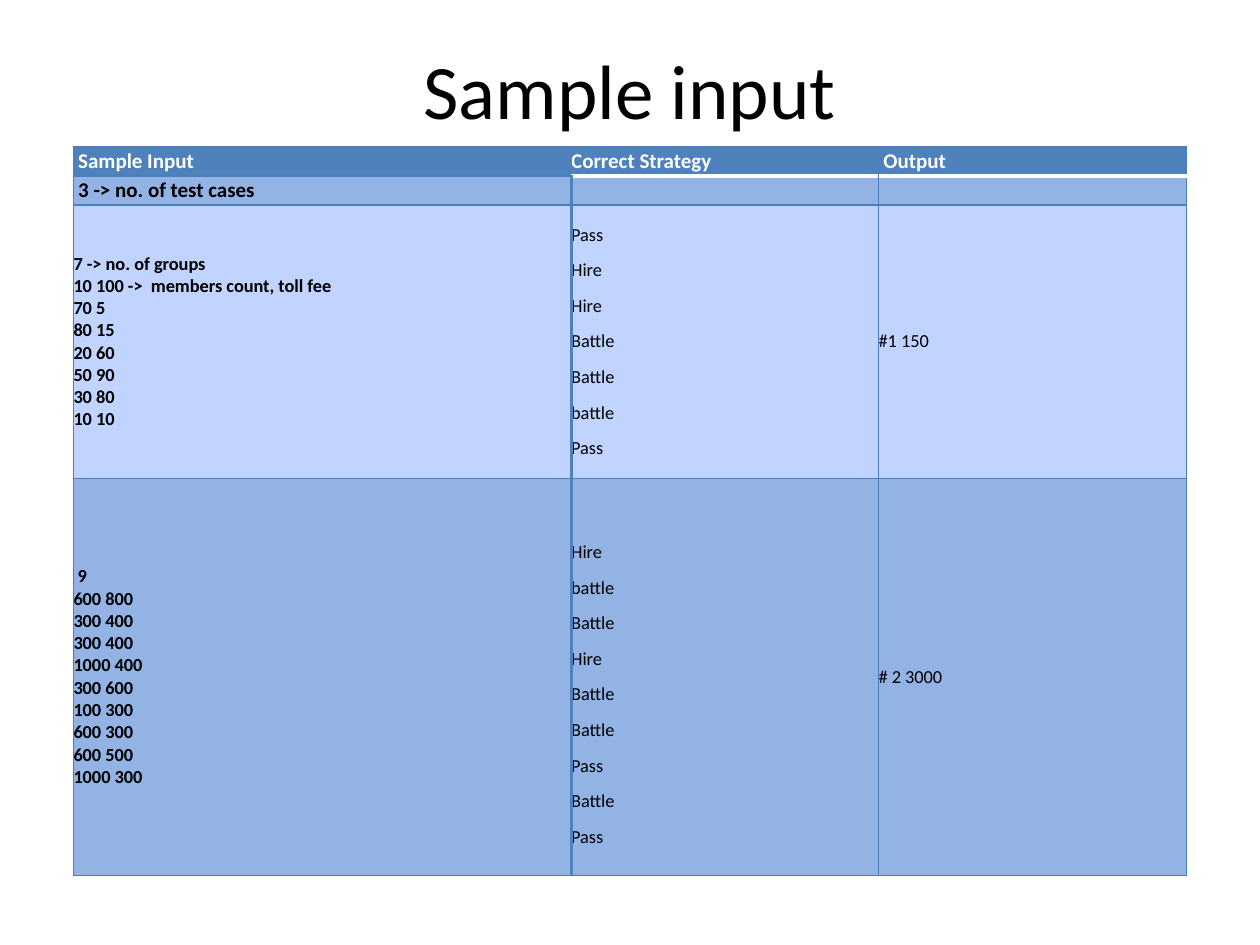
"""Builds the sample input slide: a title above a table of test cases."""
from dataclasses import dataclass

from lxml.etree import SubElement
from pptx import Presentation
from pptx.dml.color import RGBColor
from pptx.enum.text import MSO_ANCHOR as Anchor, PP_ALIGN as Align
from pptx.oxml.ns import qn
from pptx.util import Pt

FONT = "Calibri"
BLACK, WHITE = "000000", "FFFFFF"
HEADER, DARK, LIGHT, GRID = "4F81BD", "93B3E5", "C0D4FF", "4B7EBC"
THIN, THICK = 0.75, 2
GAP = 3.8
COLUMNS = (284.4, 175.7, 175.7)
STRATEGY_1 = ["Pass", "Hire", "Hire", "Battle", "Battle", "battle", "Pass"]
STRATEGY_2 = ["Hire", "battle", "Battle", "Hire", "Battle", "Battle", "Pass", "Battle", "Pass"]
GROUPS_1 = ["7 -> no. of groups", "10 100 ->  members count, toll fee", "70 5", "80 15",
            "20 60", "50 90", "30 80", "10 10"]
GROUPS_2 = [" 9", "600 800", "300 400", "300 400", "1000 400", "300 600", "100 300",
            "600 300", "600 500", "1000 300"]


@dataclass
class TableRow:
    height: float
    fill: str
    size: float
    cells: list[list[str]]
    color: str = BLACK
    all_bold: bool = False
    strategy_inset: float = 0


ROWS = [
    TableRow(16.6, HEADER, 12, [[" Sample Input"], ["Correct Strategy "], [" Output"]], WHITE, True),
    TableRow(16.6, DARK, 12, [[" 3 -> no. of test cases"], [], []]),
    TableRow(156.2, LIGHT, 10.5, [["\n".join(GROUPS_1)], STRATEGY_1, ["#1 150"]]),
    TableRow(226.8, DARK, 10.5, [["\n".join(GROUPS_2)], STRATEGY_2, ["# 2 3000"]],
             strategy_inset=20.4),
]


def rgb(color: str) -> RGBColor:
    return RGBColor.from_string(color)


def style_span(span, size: float, color: str, bold: bool = False) -> None:
    span.font.name = FONT
    span.font.size = Pt(size)
    span.font.bold = bold
    span.font.color.rgb = rgb(color)


def add_title(page, text: str) -> None:
    box = page.shapes.add_textbox(Pt(36), Pt(5.8), Pt(648), Pt(90))
    frame = box.text_frame
    frame.word_wrap = True
    frame.vertical_anchor = Anchor.MIDDLE
    frame.text = text
    para = frame.paragraphs[0]
    para.alignment = Align.CENTER
    style_span(para.runs[0], 44, BLACK)


def set_border(cell, side: str, color: str, width: float) -> None:
    line = SubElement(cell._tc.get_or_add_tcPr(), qn(f"a:ln{side}"), w=str(Pt(width)))
    SubElement(SubElement(line, qn("a:solidFill")), qn("a:srgbClr"), val=color)


def set_borders(cell, row: int, column: int) -> None:
    thin = (GRID, THIN)
    inner = (HEADER, THIN) if row == 0 else thin
    divider = (HEADER, THICK) if row else inner
    rule = (WHITE, THICK) if column else thin
    sides = {
        "L": (thin, divider, inner)[column],
        "R": (divider, inner, thin)[column],
        "T": rule if row == 1 else thin,
        "B": rule if row == 0 else thin,
    }
    for side, (color, width) in sides.items():
        set_border(cell, side, color, width)


def fill_cell(cell, row: TableRow, column: int) -> None:
    cell.margin_left = cell.margin_right = cell.margin_bottom = 0
    cell.margin_top = Pt(row.strategy_inset if column == 1 else 0)
    cell.vertical_anchor = Anchor.MIDDLE
    cell.fill.solid()
    cell.fill.fore_color.rgb = rgb(row.fill)
    frame = cell.text_frame
    lines = row.cells[column]
    if not lines:
        SubElement(frame.paragraphs[0]._p, qn("a:endParaRPr"), sz=str(row.size * 100))
    for index, text in enumerate(lines):
        para = frame.add_paragraph() if index else frame.paragraphs[0]
        para.text = text
        para.space_before = para.space_after = Pt(GAP)
        for span in para.runs:
            style_span(span, row.size, row.color, row.all_bold or column == 0)


def add_case_table(page, rows: list[TableRow]) -> None:
    height = sum(row.height for row in rows)
    table = page.shapes.add_table(len(rows), len(COLUMNS), Pt(42), Pt(84),
                                  Pt(sum(COLUMNS)), Pt(height)).table
    for column, width in zip(table.columns, COLUMNS):
        column.width = Pt(width)
    for row_index, row in enumerate(rows):
        table.rows[row_index].height = Pt(row.height)
        for column in range(len(COLUMNS)):
            cell = table.cell(row_index, column)
            set_borders(cell, row_index, column)
            fill_cell(cell, row, column)


def main() -> None:
    deck = Presentation()
    deck.slide_width, deck.slide_height = Pt(720), Pt(540)
    page = deck.slides.add_slide(deck.slide_layouts[6])
    add_title(page, "Sample input")
    add_case_table(page, ROWS)
    deck.save("out.pptx")


if __name__ == "__main__":
    main()
